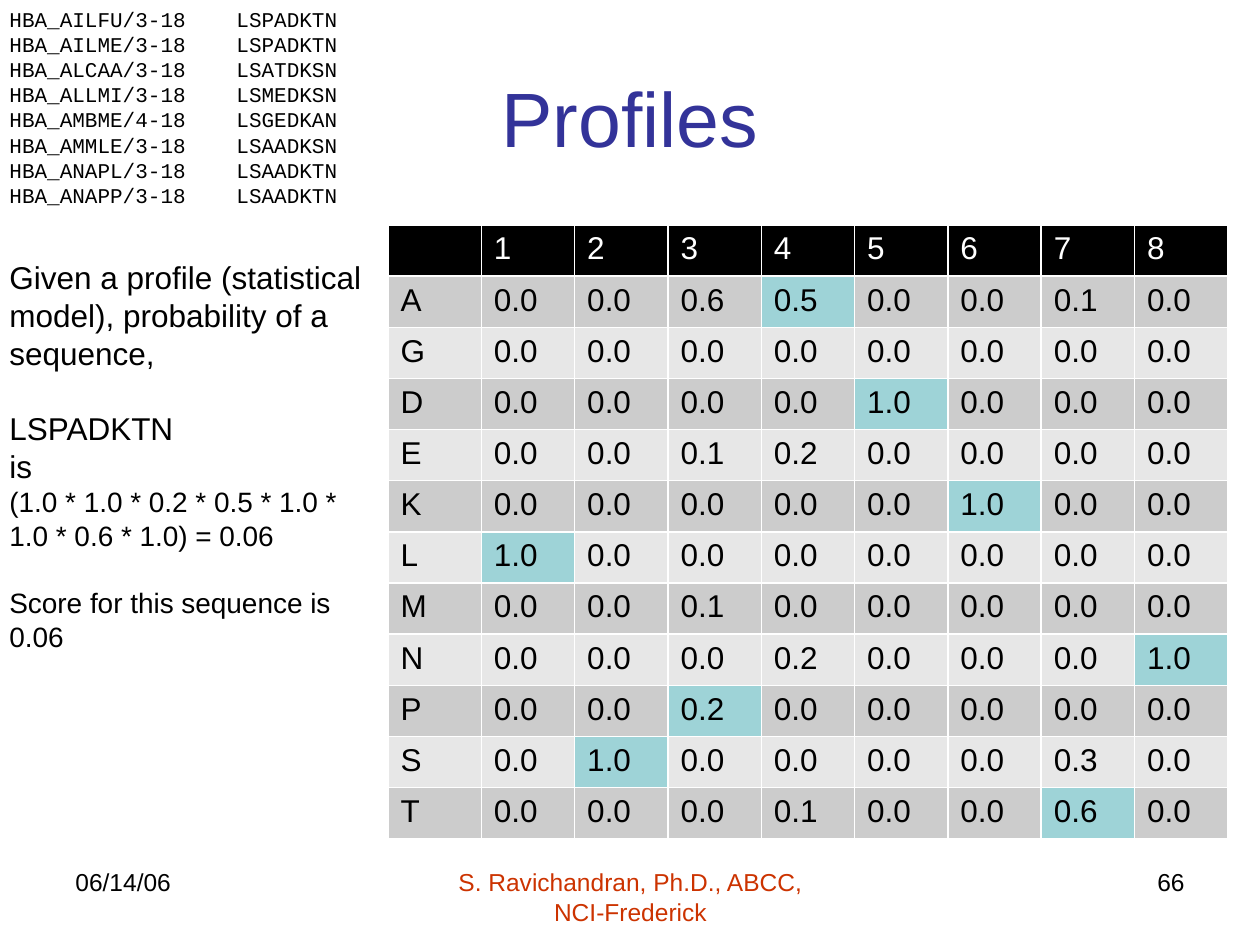
from dataclasses import dataclass

from lxml import etree
from pptx import Presentation
from pptx import util as u
from pptx.dml.color import RGBColor
from pptx.enum import text
from pptx.oxml import ns

COLORS = {
    "title": "333399", "ink": "000000", "footer": "CC3300",
    "header": "000000", "header_text": "FFFFFF", "grid": "FFFFFF",
    "dark_band": "CCCCCC", "light_band": "E7E7E7", "match": "9ED3D7",
}
LEFT, CENTER, RIGHT = text.PP_ALIGN.LEFT, text.PP_ALIGN.CENTER, text.PP_ALIGN.RIGHT
LINE_HEIGHT = 1.2
SEQUENCE = "LSPADKTN"

ALIGNMENT = {
    "HBA_AILFU/3-18": "LSPADKTN",
    "HBA_AILME/3-18": "LSPADKTN",
    "HBA_ALCAA/3-18": "LSATDKSN",
    "HBA_ALLMI/3-18": "LSMEDKSN",
    "HBA_AMBME/4-18": "LSGEDKAN",
    "HBA_AMMLE/3-18": "LSAADKSN",
    "HBA_ANAPL/3-18": "LSAADKTN",
    "HBA_ANAPP/3-18": "LSAADKTN",
}
PROFILE = {
    "A": (0, 0, 0.6, 0.5, 0, 0, 0.1, 0),
    "G": (0, 0, 0, 0, 0, 0, 0, 0),
    "D": (0, 0, 0, 0, 1, 0, 0, 0),
    "E": (0, 0, 0.1, 0.2, 0, 0, 0, 0),
    "K": (0, 0, 0, 0, 0, 1, 0, 0),
    "L": (1, 0, 0, 0, 0, 0, 0, 0),
    "M": (0, 0, 0.1, 0, 0, 0, 0, 0),
    "N": (0, 0, 0, 0.2, 0, 0, 0, 1),
    "P": (0, 0, 0.2, 0, 0, 0, 0, 0),
    "S": (0, 1, 0, 0, 0, 0, 0.3, 0),
    "T": (0, 0, 0, 0.1, 0, 0, 0.6, 0),
}


@dataclass
class Box:
    left: int
    top: int
    width: int
    height: int

    def emu(self) -> tuple:
        return tuple(px(n) for n in (self.left, self.top, self.width, self.height))


@dataclass
class Line:
    words: str
    size: int
    color: str = "ink"
    font: str = "Arial"
    align: text.PP_ALIGN = LEFT
    before: float = 0
    tab: int = 0


def px(n: int) -> int:
    return round(n * 914400 / 126)


def rgb(name: str) -> RGBColor:
    return RGBColor.from_string(COLORS[name])


def add_words(paragraph, line: Line) -> None:
    paragraph.alignment = line.align
    run = paragraph.add_run()
    run.text = line.words
    run.font.name = line.font
    run.font.size = u.Pt(line.size)
    run.font.color.rgb = rgb(line.color)


def add_tab_stop(paragraph, position: int) -> None:
    stops = etree.SubElement(paragraph._p.get_or_add_pPr(), ns.qn("a:tabLst"))
    etree.SubElement(stops, ns.qn("a:tab"), pos=str(px(position)), algn="l")


def add_text(slide, box: Box, lines: list[Line]) -> None:
    frame = slide.shapes.add_textbox(*box.emu()).text_frame
    frame.word_wrap = True
    for i, line in enumerate(lines):
        paragraph = frame.add_paragraph() if i else frame.paragraphs[0]
        if line.tab:
            add_tab_stop(paragraph, line.tab)
        paragraph.line_spacing = u.Pt(line.size * LINE_HEIGHT)
        if line.before:
            paragraph.space_before = u.Pt(line.before)
        add_words(paragraph, line)


def add_borders(cell) -> None:
    properties = cell._tc.get_or_add_tcPr()
    for side in ("lnL", "lnR", "lnT", "lnB"):
        edge = etree.SubElement(properties, ns.qn(f"a:{side}"), w=str(u.Pt(1)))
        fill = etree.SubElement(edge, ns.qn("a:solidFill"))
        etree.SubElement(fill, ns.qn("a:srgbClr"), val=COLORS["grid"])


def fill_cell(cell, words: str, fill: str, color: str = "ink") -> None:
    add_borders(cell)
    cell.fill.solid()
    cell.fill.fore_color.rgb = rgb(fill)
    add_words(cell.text_frame.paragraphs[0], Line(words, 18, color))


def add_profile_table(slide, box: Box) -> None:
    """Draw the residue table, marking each residue of SEQUENCE in its column."""
    table = slide.shapes.add_table(len(PROFILE) + 1, len(SEQUENCE) + 1, *box.emu()).table
    table.first_row = table.horz_banding = False
    for col in range(len(SEQUENCE) + 1):
        fill_cell(table.cell(0, col), str(col) if col else "", "header", "header_text")
    for row, (residue, chances) in enumerate(PROFILE.items(), 1):
        band = "dark_band" if row % 2 else "light_band"
        fill_cell(table.cell(row, 0), residue, band)
        for col, (chance, wanted) in enumerate(zip(chances, SEQUENCE), 1):
            fill = "match" if residue == wanted else band
            fill_cell(table.cell(row, col), f"{chance:.1f}", fill)


def main() -> None:
    deck = Presentation()
    deck.slide_width, deck.slide_height = px(1260), px(945)
    slide = deck.slides.add_slide(deck.slide_layouts[5])

    title = slide.shapes.title
    title.left, title.top, title.width, title.height = Box(63, 38, 1134, 158).emu()
    title.text_frame.vertical_anchor = text.MSO_ANCHOR.MIDDLE
    add_words(title.text_frame.paragraphs[0],
              Line("Profiles", 44, "title", align=CENTER))

    add_text(slide, Box(63, 861, 294, 65), [Line("06/14/06", 14)])
    add_text(slide, Box(431, 861, 399, 65),
             [Line("S. Ravichandran, Ph.D., ABCC, NCI-Frederick", 14, "footer", align=CENTER)])
    add_text(slide, Box(903, 861, 294, 65), [Line("66", 14, align=RIGHT)])

    add_text(slide, Box(-3, 0, 410, 217),
             [Line(f"{name}\t{residues}", 12, font="Courier New", tab=227)
              for name, residues in ALIGNMENT.items()])
    add_profile_table(slide, Box(388, 225, 840, 614))
    add_text(slide, Box(-3, 252, 392, 450), [
        Line("Given a profile (statistical model), probability of a sequence,", 18),
        Line(SEQUENCE, 18, before=18 * LINE_HEIGHT),
        Line("is", 18),
        Line("(1.0 * 1.0 * 0.2 * 0.5 * 1.0 * 1.0 * 0.6 * 1.0) = 0.06", 16),
        Line("Score for this sequence is 0.06", 16, before=16 * LINE_HEIGHT),
    ])
    deck.save("out.pptx")


if __name__ == "__main__":
    main()
